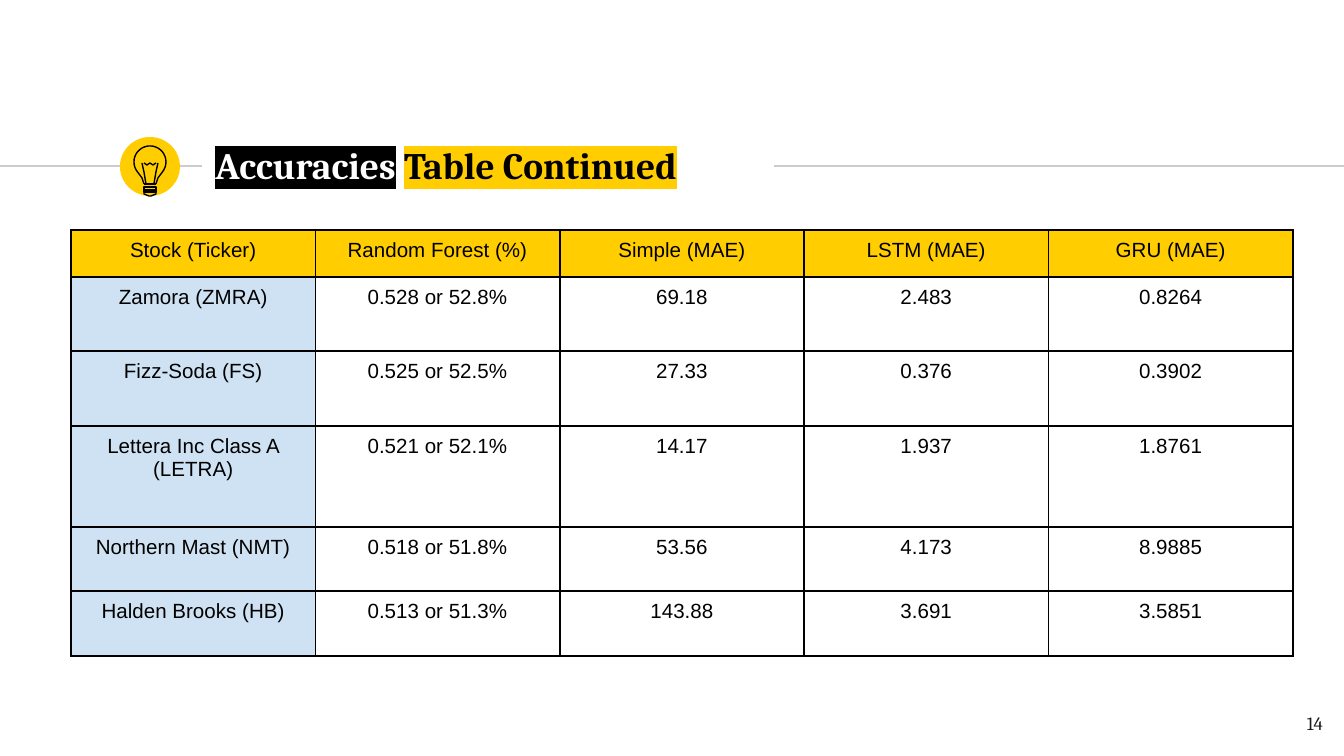
from math import cos, radians, sin

from lxml.etree import SubElement
from pptx import Presentation
from pptx.dml.color import RGBColor
from pptx.enum.shapes import MSO_CONNECTOR, MSO_SHAPE
from pptx.enum.text import MSO_ANCHOR, MSO_AUTO_SIZE, PP_ALIGN
from pptx.oxml.ns import qn
from pptx.util import Inches, Pt

BLACK, WHITE, YELLOW = "000000", "FFFFFF", "FFCD00"
BLUE, GRAY, INK = "CFE2F3", "CCCCCC", "1D1D1B"

TITLE_RUNS = [("Accuracies", WHITE, BLACK), (" ", BLACK, None), ("Table Continued", BLACK, YELLOW)]
PAGE_NUMBER = "14"
ROWS = [
    ("Stock (Ticker)", "Random Forest (%)", "Simple (MAE)", "LSTM (MAE)", "GRU (MAE)"),
    ("Zamora (ZMRA)", "0.528 or 52.8%", "69.18", "2.483", "0.8264"),
    ("Fizz-Soda (FS)", "0.525 or 52.5%", "27.33", "0.376", "0.3902"),
    ("Lettera Inc Class A (LETRA)", "0.521 or 52.1%", "14.17", "1.937", "1.8761"),
    ("Northern Mast (NMT)", "0.518 or 51.8%", "53.56", "4.173", "8.9885"),
    ("Halden Brooks (HB)", "0.513 or 51.3%", "143.88", "3.691", "3.5851"),
]
ROW_HEIGHTS = [47, 74, 75, 101, 64, 65]
TABLE_LEFT, TABLE_TOP, TABLE_WIDTH = 71, 230, 1222
RULE_Y = 166
RULES = [(0, 202), (774, 1344)]

BULB_X, BULB_Y, BULB_RADIUS = 150, 162, 16
GLASS = (
    [(156, 184), (158, 178)]
    + [
        (BULB_X + BULB_RADIUS * cos(radians(angle)), BULB_Y + BULB_RADIUS * sin(radians(angle)))
        for angle in range(40, -221, -10)
    ]
    + [(142, 178), (144, 184)]
)
BULB_PARTS = [
    ([(144, 190), (156, 190), (156, 192), (144, 192)], True),
    ([(144, 187), (156, 187), (156, 190), (144, 190)], True),
    ([(144, 192), (156, 192), (156, 194), (151, 196), (149, 196), (144, 194)], True),
    ([(142, 163), (144, 172), (146, 184)], False),
    (GLASS, False),
    ([(158, 163), (156, 172), (154, 184)], False),
    ([(144, 163), (147, 165), (150, 163), (153, 165), (156, 163)], False),
]


def px(length):
    return round(length * 914400 / 134.4)


def color(value):
    return RGBColor.from_string(value)


def set_font(font, name, size, value):
    font.name = name
    font.size = Pt(size)
    font.color.rgb = color(value)


def add_line(shapes, left, right, y, value):
    line = shapes.add_connector(MSO_CONNECTOR.STRAIGHT, px(left), px(y), px(right), px(y))
    line.line.color.rgb = color(value)
    line.line.width = Pt(0.75)
    SubElement(line._element.spPr, qn("a:effectLst"))


def add_outline(shapes, points, closed):
    points = [(px(x), px(y)) for x, y in points]
    builder = shapes.build_freeform(*points[0], scale=1.0)
    builder.add_line_segments(points[1:], close=closed)
    shape = builder.convert_to_shape()
    shape.shadow.inherit = False
    shape.fill.background()
    shape.line.color.rgb = color(BLACK)
    shape.line.width = Pt(0.75)


def set_frame(frame, anchor):
    frame.word_wrap = True
    frame.auto_size = MSO_AUTO_SIZE.NONE
    frame.vertical_anchor = anchor
    frame.margin_left = frame.margin_right = frame.margin_top = frame.margin_bottom = Inches(0.1)


def add_borders(cell):
    properties = cell._tc.get_or_add_tcPr()
    for side in ("lnL", "lnR", "lnT", "lnB"):
        border = SubElement(properties, qn(f"a:{side}"), w=str(Pt(1)))
        fill = SubElement(border, qn("a:solidFill"))
        SubElement(fill, qn("a:srgbClr"), val=BLACK)


def add_title(slide):
    title = slide.shapes.title
    title.left, title.top, title.width, title.height = px(202), px(132), px(570), px(65)
    set_frame(title.text_frame, MSO_ANCHOR.MIDDLE)
    paragraph = title.text_frame.paragraphs[0]
    paragraph.alignment = PP_ALIGN.LEFT
    set_font(paragraph.font, "Cambria", 20, BLACK)
    paragraph.font.bold = True
    for text, value, highlight in TITLE_RUNS:
        run = paragraph.add_run()
        run.text = text
        run.font.color.rgb = color(value)
        if highlight:
            mark = SubElement(run._r.get_or_add_rPr(), qn("a:highlight"))
            SubElement(mark, qn("a:srgbClr"), val=highlight)


def add_accuracy_table(slide):
    table = slide.shapes.add_table(
        len(ROWS), len(ROWS[0]), px(TABLE_LEFT), px(TABLE_TOP), px(TABLE_WIDTH), px(sum(ROW_HEIGHTS))
    ).table
    table.first_row = table.horz_banding = False
    for column in table.columns:
        column.width = px(TABLE_WIDTH / len(ROWS[0]))
    for row_index, (values, height) in enumerate(zip(ROWS, ROW_HEIGHTS)):
        table.rows[row_index].height = px(height)
        for column_index, text in enumerate(values):
            cell = table.cell(row_index, column_index)
            cell.text = text
            cell.margin_left = cell.margin_right = cell.margin_top = cell.margin_bottom = Inches(0.07)
            paragraph = cell.text_frame.paragraphs[0]
            paragraph.alignment = PP_ALIGN.CENTER
            set_font(paragraph.font, "Arial", 11, BLACK)
            add_borders(cell)
            if row_index == 0 or column_index == 0:
                cell.fill.solid()
                cell.fill.fore_color.rgb = color(BLUE if row_index else YELLOW)
            else:
                cell.fill.background()


def main():
    presentation = Presentation()
    presentation.slide_width, presentation.slide_height = px(1344), px(756)
    slide = presentation.slides.add_slide(presentation.slide_layouts[5])

    for left, right in RULES:
        add_line(slide.shapes, left, right, RULE_Y, GRAY)
    badge = slide.shapes.add_shape(MSO_SHAPE.OVAL, px(120), px(137), px(60), px(59))
    badge.shadow.inherit = False
    badge.fill.solid()
    badge.fill.fore_color.rgb = color(YELLOW)
    badge.line.fill.background()

    add_title(slide)

    number = slide.shapes.add_textbox(px(1255), px(698), px(81), px(58))
    set_frame(number.text_frame, MSO_ANCHOR.TOP)
    paragraph = number.text_frame.paragraphs[0]
    paragraph.text = PAGE_NUMBER
    paragraph.alignment = PP_ALIGN.RIGHT
    set_font(paragraph.font, "Cambria", 10, INK)

    add_accuracy_table(slide)

    bulb = slide.shapes.add_group_shape()
    for points, closed in BULB_PARTS:
        add_outline(bulb.shapes, points, closed)
    add_line(bulb.shapes, 144, 156, 184, BLACK)

    presentation.save("out.pptx")


if __name__ == "__main__":
    main()
